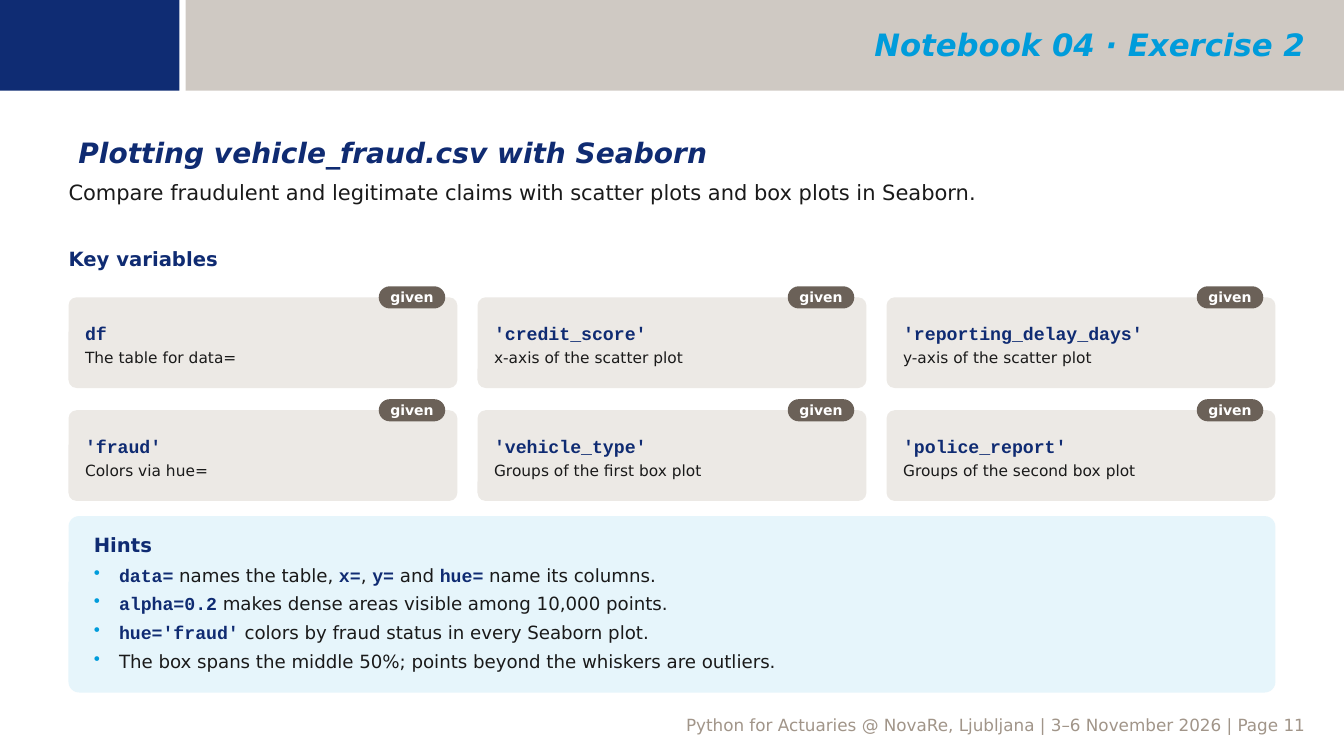
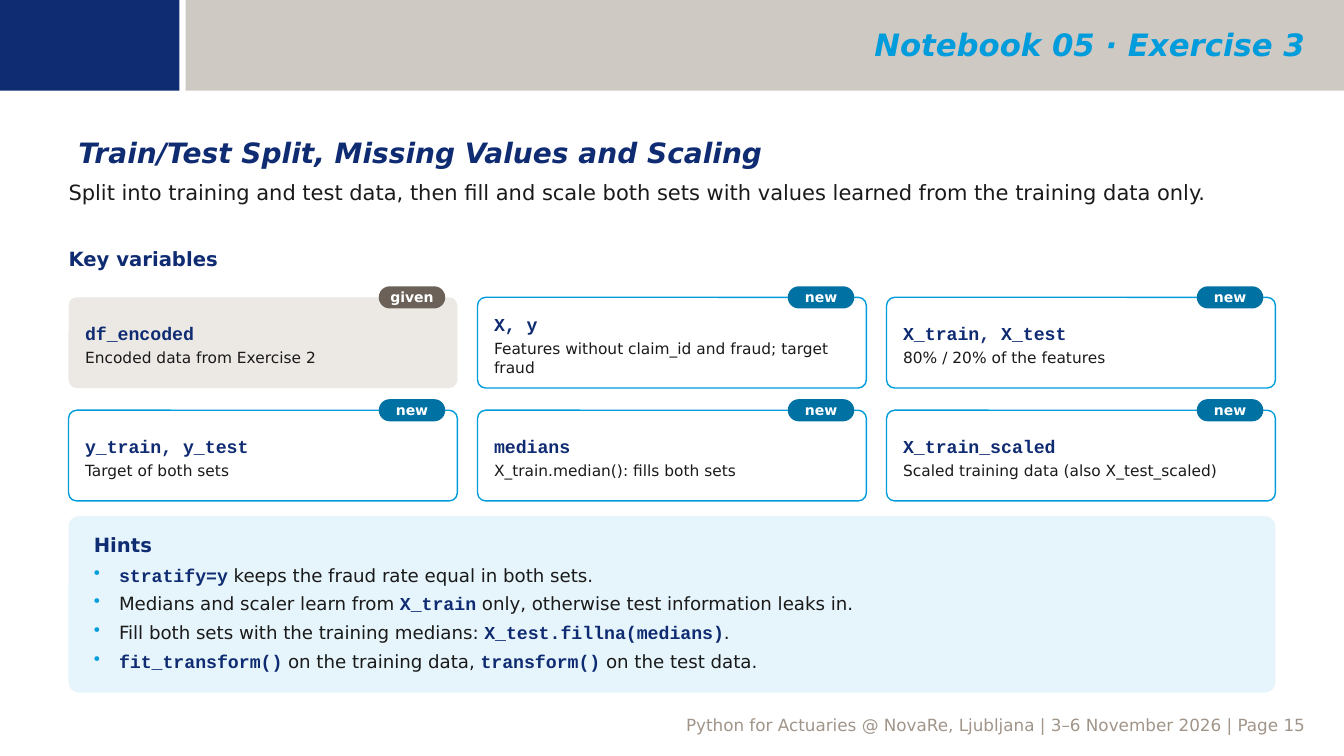
import dataclasses

import pptx
import pptx.dml.color
import pptx.enum.shapes
import pptx.enum.text
import pptx.oxml
import pptx.oxml.ns
import pptx.util

PX = 9144
ALIGN = pptx.enum.text.PP_ALIGN
ANCHOR = pptx.enum.text.MSO_ANCHOR
SHAPE = pptx.enum.shapes.MSO_SHAPE
DEFAULT_INSETS = (10, 5, 10, 5)
NO_INSETS = (0, 0, 0, 0)


@dataclasses.dataclass(frozen=True)
class Style:
    """Type settings of a run."""
    size: int
    color: str
    bold: bool = False
    italic: bool = False
    font: str = "DejaVu Sans"


class Theme:
    """Colours and type styles shared by all slides."""
    band = "A19589"
    block = "0F2C73"
    navy = "0F2B72"
    cyan = "009CDB"
    ink = "1A1A1A"
    white = "FFFFFF"
    hint_fill = "E6F5FB"
    cards = {"given": ("ECE9E5", None, "6B6158"),
             "new": (white, cyan, "0071A3")}
    header = Style(22, cyan, bold=True, italic=True)
    title = Style(20, navy, bold=True, italic=True)
    lead = Style(15, ink)
    heading = Style(14, navy, bold=True)
    body = Style(13, ink)
    code = Style(13, navy, bold=True, font="Courier New")
    small = Style(11, ink)
    badge = Style(10, white, bold=True)
    footer = Style(12, band)


def px(n):
    """Turn px into EMU."""
    return pptx.util.Emu(round(n * PX))


def rgb(color):
    """Turn a hex string into a colour."""
    return pptx.dml.color.RGBColor.from_string(color)


def style_run(r, style):
    """Apply a style to a run."""
    f = r.font
    f.name, f.size = style.font, pptx.util.Pt(style.size)
    f.bold, f.italic = style.bold, style.italic
    f.color.rgb = rgb(style.color)


def write(p, text, style, align=ALIGN.LEFT):
    """Fill a paragraph with text in one style."""
    p.text = text
    p.alignment = align
    for r in p.runs:
        style_run(r, style)


def set_frame(tf, insets, anchor=ANCHOR.TOP):
    """Set wrapping, insets and anchor of a text frame."""
    tf.word_wrap = True
    tf.vertical_anchor = anchor
    tf.margin_left, tf.margin_top, tf.margin_right, tf.margin_bottom = map(px, insets)


def add_label(s, box, text, style, insets=NO_INSETS, align=ALIGN.LEFT, anchor=ANCHOR.TOP):
    """Add a text box with one paragraph."""
    tf = s.shapes.add_textbox(*map(px, box)).text_frame
    set_frame(tf, insets, anchor)
    write(tf.paragraphs[0], text, style, align)


def add_block(s, box, fill, line=None, radius=None):
    """Add a rectangle, rounded when a radius is given."""
    kind = SHAPE.RECTANGLE if radius is None else SHAPE.ROUNDED_RECTANGLE
    sp = s.shapes.add_shape(kind, *map(px, box))
    sp.shadow.inherit = False
    if radius is not None:
        sp.adjustments[0] = radius
    sp.fill.solid()
    sp.fill.fore_color.rgb = rgb(fill)
    if line:
        sp.line.color.rgb = rgb(line)
        sp.line.width = pptx.util.Pt(1)
    else:
        sp.line.fill.background()
    return sp


def add_child(parent, tag, **attrs):
    """Append a DrawingML element to a parent."""
    el = pptx.oxml.parse_xml(f"<a:{tag} {pptx.oxml.ns.nsdecls('a')}/>")
    for name, value in attrs.items():
        el.set(name, str(value))
    parent.append(el)
    return el


def add_bullet(p, indent, color):
    """Give a paragraph a hanging coloured bullet."""
    pPr = p._p.get_or_add_pPr()
    pPr.set("marL", str(px(indent)))
    pPr.set("indent", str(-px(indent)))
    add_child(add_child(pPr, "buClr"), "srgbClr", val=color)
    add_child(pPr, "buChar", char="•")


def add_header(s, box, text):
    """Draw the top bands and the header text."""
    x, y, w, h = box
    band = add_block(s, (x + 184, y, w - 184, h), Theme.band)
    color = band.fill._xPr.find(".//" + pptx.oxml.ns.qn("a:srgbClr"))
    add_child(color, "alpha", val=50000)
    add_block(s, (x, y, 178, h), Theme.block)
    add_label(s, (x + 202, y + 2, w - 231, h - 6), text, Theme.header,
              DEFAULT_INSETS, ALIGN.RIGHT, ANCHOR.MIDDLE)


def add_intro(s, box, title, lead):
    """Place the title and the lead sentence."""
    x, y, w, h = box
    add_label(s, (x, y, w, 40), title, Theme.title, DEFAULT_INSETS)
    add_label(s, (x, y + 48, w, h - 48), lead, Theme.lead)


def add_card(s, box, kind, name, note):
    """Draw a variable card with its badge."""
    x, y, w, h = box
    fill, line, badge_fill = Theme.cards[kind]
    tf = add_block(s, box, fill, line, radius=0.09).text_frame
    set_frame(tf, (14, 10, 14, 6), ANCHOR.MIDDLE)
    write(tf.paragraphs[0], name, Theme.code)
    p = tf.add_paragraph()
    write(p, note, Theme.small)
    p.space_before = pptx.util.Pt(3)
    badge = add_block(s, (x + w - 78, y - 11, 66, 22), badge_fill, radius=0.5)
    set_frame(badge.text_frame, NO_INSETS, ANCHOR.MIDDLE)
    write(badge.text_frame.paragraphs[0], kind, Theme.badge, ALIGN.CENTER)


def add_variables(s, box, cards):
    """Place the heading and a grid of cards in three columns."""
    x, y, w, h = box
    cols, rows, gap_x, gap_y, top = 3, 2, 20, 22, 50
    card_w = (w - (cols - 1) * gap_x) / cols
    card_h = (h - top - (rows - 1) * gap_y) / rows
    add_label(s, (x, y, 600, 32), "Key variables", Theme.heading)
    for i, card in enumerate(cards):
        row, col = divmod(i, cols)
        card_box = (x + col * (card_w + gap_x), y + top + row * (card_h + gap_y),
                    card_w, card_h)
        add_card(s, card_box, *card)


def add_hints(s, box, hints):
    """Draw the hints panel; backticks mark code."""
    tf = add_block(s, box, Theme.hint_fill, radius=0.06).text_frame
    set_frame(tf, (22, 14, 22, 10))
    write(tf.paragraphs[0], "Hints", Theme.heading)
    for hint in hints:
        p = tf.add_paragraph()
        add_bullet(p, 25, Theme.cyan)
        p.alignment = ALIGN.LEFT
        p.space_before = pptx.util.Pt(5)
        for i, part in enumerate(hint.split("`")):
            if part:
                r = p.add_run()
                r.text = part
                style_run(r, Theme.code if i % 2 else Theme.body)


def add_footer(s, box, page):
    """Place the footer line with the page number."""
    text = f"Python for Actuaries @ NovaRe, Ljubljana | 3–6 November 2026 | Page {page}"
    add_label(s, box, text, Theme.footer, DEFAULT_INSETS, ALIGN.RIGHT)


def add_exercise(prs, page, header, title, lead, cards, hints):
    """Build one exercise slide."""
    s = prs.slides.add_slide(prs.slide_layouts[6])
    left, width = 68, 1197
    add_footer(s, (76, 705, 1229, 9), page)
    add_header(s, (0, 0, 1333, 90), header)
    add_intro(s, (left, 130, width, 110), title, lead)
    add_variables(s, (left, 245, width, 252), cards)
    add_hints(s, (left, 512, width, 175), hints)


EXERCISES = [
    dict(
        page=11,
        header="Notebook 04 · Exercise 2",
        title="Plotting vehicle_fraud.csv with Seaborn",
        lead="Compare fraudulent and legitimate claims with scatter plots and box plots in Seaborn.",
        cards=[
            ("given", "df", "The table for data="),
            ("given", "'credit_score'", "x-axis of the scatter plot"),
            ("given", "'reporting_delay_days'", "y-axis of the scatter plot"),
            ("given", "'fraud'", "Colors via hue="),
            ("given", "'vehicle_type'", "Groups of the first box plot"),
            ("given", "'police_report'", "Groups of the second box plot"),
        ],
        hints=[
            "`data=` names the table, `x=`, `y=` and `hue=` name its columns.",
            "`alpha=0.2` makes dense areas visible among 10,000 points.",
            "`hue='fraud'` colors by fraud status in every Seaborn plot.",
            "The box spans the middle 50%; points beyond the whiskers are outliers.",
        ],
    ),
    dict(
        page=15,
        header="Notebook 05 · Exercise 3",
        title="Train/Test Split, Missing Values and Scaling",
        lead="Split into training and test data, then fill and scale both sets "
             "with values learned from the training data only.",
        cards=[
            ("given", "df_encoded", "Encoded data from Exercise 2"),
            ("new", "X, y", "Features without claim_id and fraud; target fraud"),
            ("new", "X_train, X_test", "80% / 20% of the features"),
            ("new", "y_train, y_test", "Target of both sets"),
            ("new", "medians", "X_train.median(): fills both sets"),
            ("new", "X_train_scaled", "Scaled training data (also X_test_scaled)"),
        ],
        hints=[
            "`stratify=y` keeps the fraud rate equal in both sets.",
            "Medians and scaler learn from `X_train` only, otherwise test information leaks in.",
            "Fill both sets with the training medians: `X_test.fillna(medians)`.",
            "`fit_transform()` on the training data, `transform()` on the test data.",
        ],
    ),
]


def main():
    """Build and save the presentation."""
    prs = pptx.Presentation()
    prs.slide_width, prs.slide_height = px(1333), px(750)
    for exercise in EXERCISES:
        add_exercise(prs, **exercise)
    prs.save("out.pptx")


if __name__ == "__main__":
    main()
